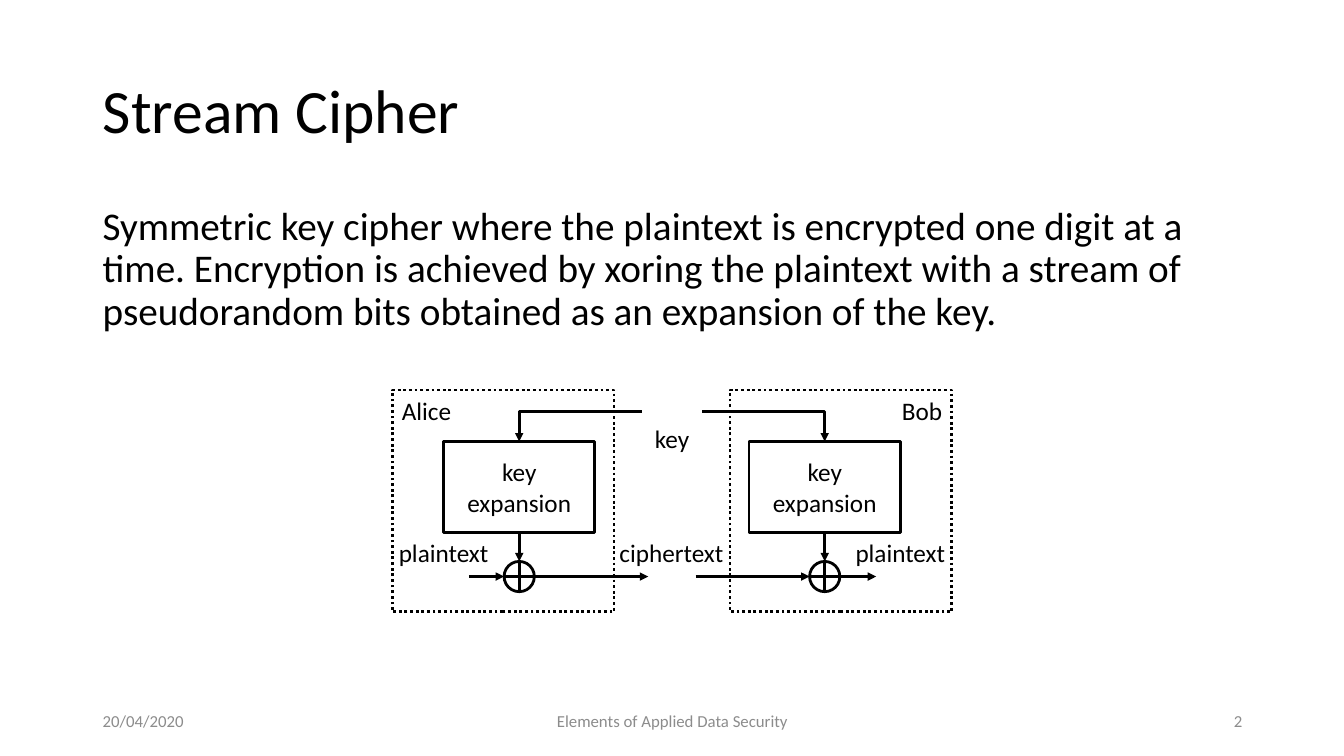
from dataclasses import dataclass

from lxml.etree import SubElement
from pptx import Presentation
from pptx.dml.color import RGBColor
from pptx.enum.dml import MSO_LINE
from pptx.enum.shapes import MSO_CONNECTOR, MSO_SHAPE
from pptx.enum.text import MSO_ANCHOR, PP_ALIGN
from pptx.oxml.ns import qn
from pptx.util import Inches, Pt

COLORS = {"ink": "000000", "paper": "FFFFFF", "footer": "8C8C8C"}
FONT = "Calibri"
CELL = Inches(0.1)
MIDDLE = 66.65
XOR_Y, XOR_SIZE = 57.2, 3
BOX_TOP, BOX_W, BOX_H = 43.8, 15, 9
FRAME_TOP, FRAME_SIZE = 38.7, 22
KEY_Y = 40.8
LABEL_H = 4


@dataclass(frozen=True)
class Party:
    side: int
    inlet: float
    outlet: float

    @property
    def xor_x(self) -> float:
        return MIDDLE + self.side * 15.15

    @property
    def frame_x(self) -> float:
        return MIDDLE + self.side * 16.75


@dataclass(frozen=True)
class Label:
    text: str
    center: float
    top: float
    width: float


@dataclass(frozen=True)
class Footer:
    text: str
    left: float
    width: float
    align: PP_ALIGN


PARTIES = [Party(-1, 46.5, 64.3), Party(1, 69, 86.9)]
LABELS = [
    Label("key", MIDDLE, 41.5, 5.5),
    Label("Alice", 42.3, FRAME_TOP, 7),
    Label("Bob", 91.45, FRAME_TOP, 6.1),
    Label("plaintext", 44, 52.8, 11),
    Label("ciphertext", 66.6, 52.8, 12.4),
    Label("plaintext", 89.3, 52.8, 11),
]
FOOTERS = [
    Footer("20/04/2020", 9.2, 30, PP_ALIGN.LEFT),
    Footer("Elements of Applied Data Security", 44.2, 45, PP_ALIGN.CENTER),
    Footer("2", 94.2, 30, PP_ALIGN.RIGHT),
]


def grid(*cells: float) -> list[int]:
    return [round(c * CELL) for c in cells]


def color(name: str) -> RGBColor:
    return RGBColor.from_string(COLORS[name])


def write(sp, text: str, size: float, align=PP_ALIGN.LEFT, anchor=MSO_ANCHOR.MIDDLE,
          ink: str = "ink", wrap: bool = True, spacing: float = 1.0) -> None:
    tf = sp.text_frame
    tf.word_wrap = wrap
    tf.vertical_anchor = anchor
    p = tf.paragraphs[0]
    p.text = text
    p.alignment = align
    p.line_spacing = spacing
    p.font.name = FONT
    p.font.size = Pt(size)
    p.font.color.rgb = color(ink)


def add_box(slide, kind, center: float, top: float, width: float, height: float,
            fill: str | None = None):
    sp = slide.shapes.add_shape(kind, *grid(center - width / 2, top, width, height))
    sp.shadow.inherit = False
    if fill:
        sp.fill.solid()
        sp.fill.fore_color.rgb = color(fill)
    else:
        sp.fill.background()
    sp.line.color.rgb = color("ink")
    sp.line.width = Pt(2)
    return sp


def add_arrow(slide, x1: float, y1: float, x2: float, y2: float):
    bent = x1 != x2 and y1 != y2
    kind = MSO_CONNECTOR.ELBOW if bent else MSO_CONNECTOR.STRAIGHT
    cxn = slide.shapes.add_connector(kind, *grid(x1, y1, x2, y2))
    cxn.line.color.rgb = color("ink")
    cxn.line.width = Pt(2)
    sppr = cxn._element.spPr
    if bent:
        sppr.find(qn("a:prstGeom")).set("prst", "bentConnector2")
    SubElement(sppr.find(qn("a:ln")), qn("a:tailEnd"), type="triangle")
    SubElement(sppr, qn("a:effectLst"))
    return cxn


def add_party(slide, party: Party) -> None:
    x, radius = party.xor_x, XOR_SIZE / 2
    frame = add_box(slide, MSO_SHAPE.RECTANGLE, party.frame_x, FRAME_TOP, FRAME_SIZE, FRAME_SIZE)
    frame.line.dash_style = MSO_LINE.ROUND_DOT
    add_box(slide, MSO_SHAPE.FLOWCHART_OR, x, XOR_Y - radius, XOR_SIZE, XOR_SIZE, "paper")
    expansion = add_box(slide, MSO_SHAPE.RECTANGLE, x, BOX_TOP, BOX_W, BOX_H)
    write(expansion, "key expansion", 18, PP_ALIGN.CENTER)
    stream = add_arrow(slide, x, BOX_TOP + BOX_H, x, XOR_Y - radius)
    stream.begin_connect(expansion, 2)
    add_arrow(slide, party.inlet, XOR_Y, x - radius, XOR_Y)
    add_arrow(slide, x + radius, XOR_Y, party.outlet, XOR_Y)
    add_arrow(slide, MIDDLE + party.side * 3, KEY_Y, x, BOX_TOP)


def main() -> None:
    prs = Presentation()
    prs.slide_width, prs.slide_height = Inches(13.33), Inches(7.5)
    slide = prs.slides.add_slide(prs.slide_layouts[5])

    title = slide.shapes.title
    title.left, title.top, title.width, title.height = grid(9.2, 4, 115, 14.5)
    write(title, "Stream Cipher", 44, spacing=0.9)

    body = slide.shapes.add_textbox(*grid(9.2, 20, 115, 15))
    write(body, "Symmetric key cipher where the plaintext is encrypted one digit at a time. "
          "Encryption is achieved by xoring the plaintext with a stream of pseudorandom bits "
          "obtained as an expansion of the key.", 28, anchor=MSO_ANCHOR.TOP, spacing=0.9)

    for party in PARTIES:
        add_party(slide, party)
    for label in LABELS:
        sp = slide.shapes.add_textbox(
            *grid(label.center - label.width / 2, label.top, label.width, LABEL_H))
        write(sp, label.text, 18, PP_ALIGN.CENTER, MSO_ANCHOR.TOP, wrap=False)
    for footer in FOOTERS:
        sp = slide.shapes.add_textbox(*grid(footer.left, 69.5, footer.width, 4))
        write(sp, footer.text, 12, footer.align, ink="footer")

    prs.save("out.pptx")


if __name__ == "__main__":
    main()
